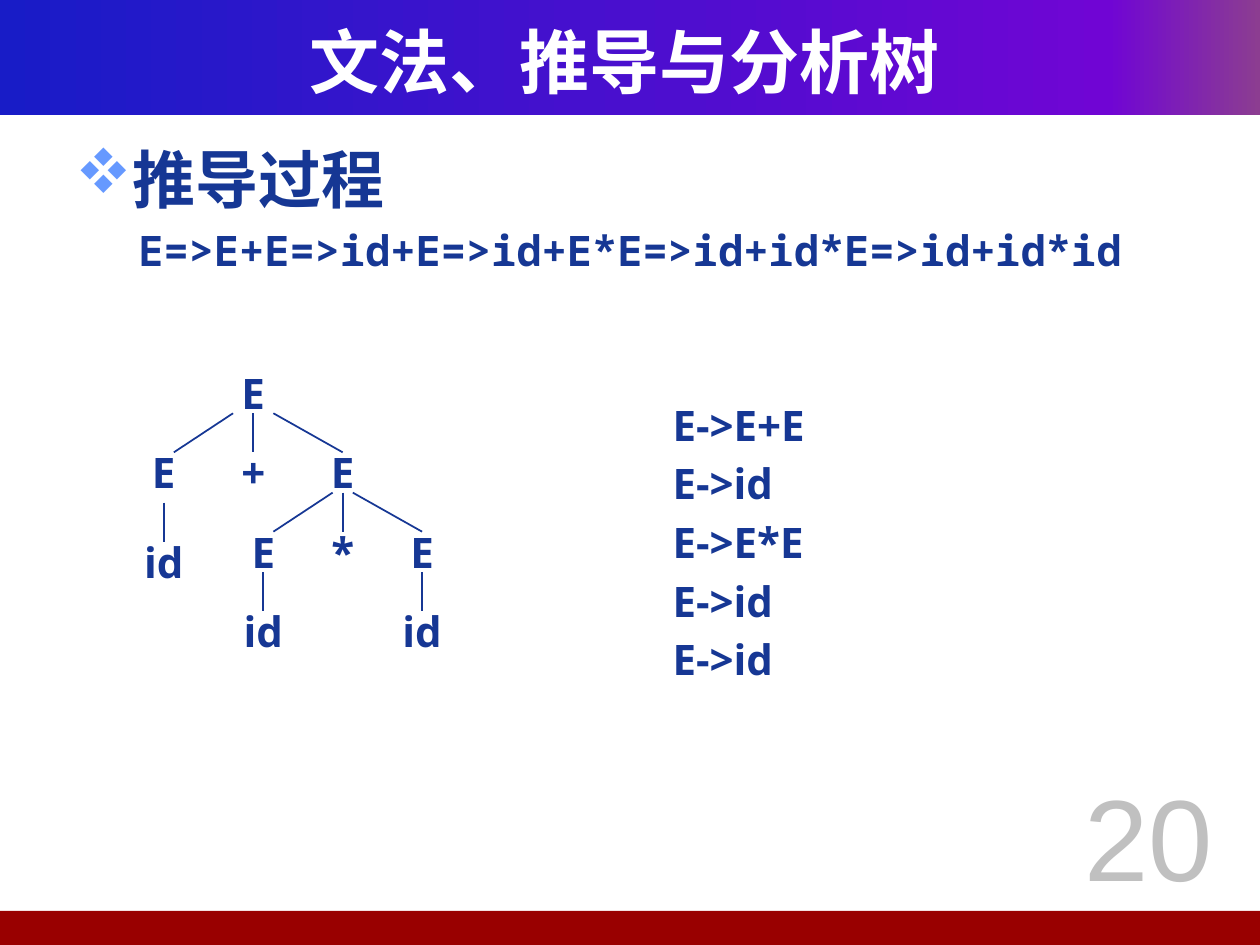
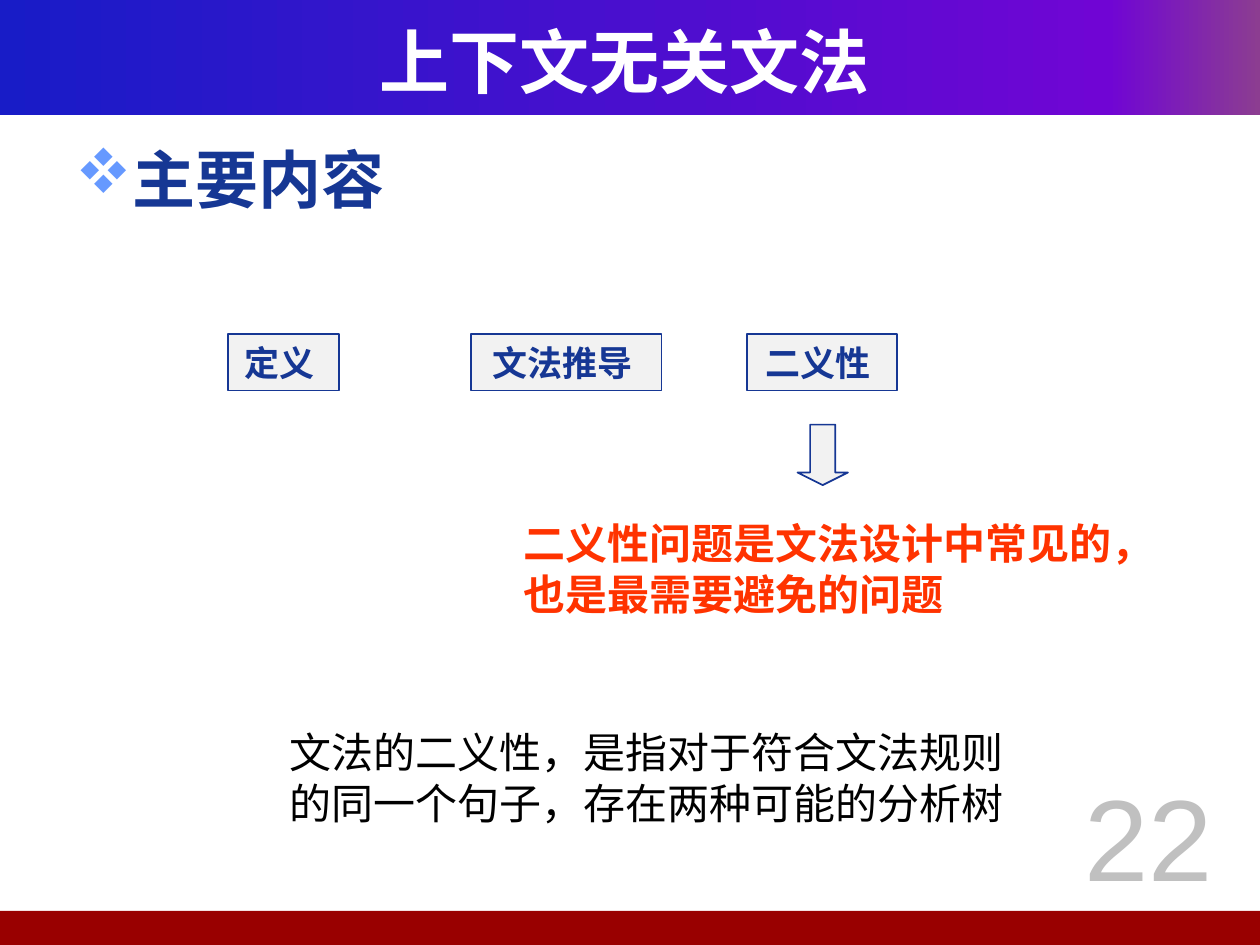
from copy import deepcopy

from lxml import etree
from pptx import Presentation
from pptx.dml import color
from pptx.enum import shapes, text
from pptx.oxml import ns
from pptx.util import Inches, Pt

# Shared look
NAVY, RED, WHITE, BLACK = "163794", "FF3300", "FFFFFF", "000000"
PALE, GREY, MAROON, BULLET = "F2F2F2", "C0C0C0", "990000", "6699FF"
BAND_STOPS = [(0, "181CC7"), (0.88, "7005D4"), (1, "8C3D91")]
MONO, SANS, CJK, ARIAL = "Noto Sans Mono", "Open Sans", "Noto Sans CJK SC", "Arial"

# Tree geometry
NODE_WIDTH, NODE_HEIGHT, EDGE_HEIGHT, LEFT_EDGE_SHIFT = 0.47, 0.31, 0.31, 0.08


def rgb(value):
    return color.RGBColor.from_string(value)


def add_xml(parent, tag, **attributes):
    return etree.SubElement(parent, ns.qn(tag), attributes)


def write(shape, content, size=24, font=SANS, ink=NAVY, bold=True,
          align="LEFT", anchor="TOP", wrap=True, side_margin=0.1):
    """Write one paragraph per line of content and return the paragraphs."""
    frame = shape.text_frame
    frame.word_wrap = wrap
    frame.margin_left = frame.margin_right = Inches(side_margin)
    frame.vertical_anchor = getattr(text.MSO_ANCHOR, anchor)
    paragraphs = []
    for index, line in enumerate(content.split("\n")):
        paragraph = frame.add_paragraph() if index else frame.paragraphs[0]
        paragraph.alignment = getattr(text.PP_ALIGN, align)
        run = paragraph.add_run()
        run.text = line
        run.font.size, run.font.bold, run.font.name = Pt(size), bold, font
        run.font.color.rgb = rgb(ink)
        add_xml(run.font._element, "a:ea", typeface=CJK)
        paragraphs.append(paragraph)
    return paragraphs


def add_text(slide, box, content, **style):
    shape = slide.shapes.add_textbox(*map(Inches, box))
    return write(shape, content, **style)


def add_block(slide, kind, box, fill, line=None):
    shape = slide.shapes.add_shape(kind, *map(Inches, box))
    shape.shadow.inherit = False
    shape.fill.solid()
    shape.fill.fore_color.rgb = rgb(fill)
    if line:
        shape.line.color.rgb = rgb(line)
        shape.line.width = Pt(1)
    else:
        shape.line.fill.background()
    return shape


def add_line(slide, start, end):
    line = slide.shapes.add_connector(
        shapes.MSO_CONNECTOR.STRAIGHT, *map(Inches, start + end))
    line.line.color.rgb = rgb(NAVY)
    line.line.width = Pt(1)
    add_xml(line._element.spPr, "a:effectLst")


def fill_gradient(shape, stops):
    shape.fill.gradient()
    shape.fill.gradient_angle = 0
    stop_list = shape._element.spPr.find(".//" + ns.qn("a:gsLst"))
    while len(stop_list) < len(stops):
        stop_list.append(deepcopy(stop_list[-1]))
    for stop, (position, value) in zip(shape.fill.gradient_stops, stops):
        stop.position = position
        stop.color.rgb = rgb(value)


def indent(paragraph, left, first, bullet=None):
    """Set indents, 20% space before and an optional symbol-font bullet."""
    properties = paragraph._p.get_or_add_pPr()
    properties.set("marL", str(Inches(left)))
    properties.set("indent", str(Inches(first)))
    space = add_xml(properties, "a:spcBef")
    add_xml(space, "a:spcPct", val="20000")
    if bullet:
        bullet_color = add_xml(properties, "a:buClr")
        add_xml(bullet_color, "a:srgbClr", val=BULLET)
        add_xml(properties, "a:buFont", typeface="Wingdings", charset="2")
        add_xml(properties, "a:buChar", char=bullet)


def add_base_slide(presentation, title, number, heading, detail=None):
    """Add a slide with bands, title, page number and body text."""
    slide = presentation.slides.add_slide(presentation.slide_layouts[6])
    rectangle = shapes.MSO_SHAPE.RECTANGLE
    band = add_block(slide, rectangle, (0, 0, 10, 0.91), NAVY)
    fill_gradient(band, BAND_STOPS)
    add_block(slide, rectangle, (-0.04, 7.23, 10.04, 0.27), MAROON)
    add_text(slide, (0.33, 0.17, 9.25, 0.62), title, size=40, font=MONO,
             ink=WHITE, align="CENTER", anchor="MIDDLE")
    lines = [heading, detail] if detail else [heading]
    body = add_text(slide, (0.5, 1.07, 9, 5.74), "\n".join(lines), font=MONO)
    body[0].runs[0].font.size = Pt(36)
    indent(body[0], 0.38, -0.38, bullet="v")  # v is the diamond in Wingdings
    for paragraph in body[1:]:
        indent(paragraph, 0.5, 0)
    add_text(slide, (8.23, 6.03, 1.77, 1.42), str(number), size=66,
             font=ARIAL, ink=GREY, bold=False, align="CENTER")
    return slide


def add_tree(slide, node):
    """Draw a node (label, centre, top, edge spread, children) and its subtree."""
    label, centre, top, spread, children = node
    add_text(slide, (centre - NODE_WIDTH / 2, top, NODE_WIDTH, NODE_HEIGHT),
             label, align="CENTER", anchor="MIDDLE", wrap=False, side_margin=0)
    for child in children:
        child_centre, child_top = child[1:3]
        side = (child_centre > centre) - (child_centre < centre)
        end = child_centre + (LEFT_EDGE_SHIFT if side < 0 else 0)
        add_line(slide, (centre + side * spread, child_top - EDGE_HEIGHT),
                 (end, child_top))
        add_tree(slide, child)


def leaf(label, centre, top):
    return label, centre, top, 0, []


def add_derivation_slide(presentation):
    slide = add_base_slide(presentation, "文法、推导与分析树", 20, "推导过程",
                           "E=>E+E=>id+E=>id+E*E=>id+id*E=>id+id*id")
    # Parse tree
    levels = [2.96 + 0.63 * level for level in range(4)]
    product = ("E", 2.72, levels[1], 0.08, [
        ("E", 2.09, levels[2], 0, [leaf("id", 2.09, levels[3])]),
        leaf("*", 2.72, levels[2]),
        ("E", 3.35, levels[2], 0, [leaf("id", 3.35, levels[3])]),
    ])
    add_tree(slide, ("E", 2.01, levels[0], 0.16, [
        ("E", 1.3, levels[1], 0, [leaf("id", 1.3, 4.3)]),
        leaf("+", 2.01, levels[1]),
        product,
    ]))
    # Productions in the order they are applied
    for row, right in enumerate(["E+E", "id", "E*E", "id", "id"]):
        add_text(slide, (5.24, 3.12 + 0.465 * row, 1.51, 0.5), "E->" + right)


def add_ambiguity_slide(presentation):
    slide = add_base_slide(presentation, "上下文无关文法", 22, "主要内容")
    # Topics
    for label, left, width in [("定义 ", 1.81, 0.88), ("文法推导 ", 3.74, 1.51),
                               ("二义性 ", 5.93, 1.19)]:
        topic = add_block(slide, shapes.MSO_SHAPE.RECTANGLE,
                          (left, 2.65, width, 0.45), PALE, NAVY)
        write(topic, label, size=20, font=CJK, align="CENTER", anchor="MIDDLE")
    arrow = add_block(slide, shapes.MSO_SHAPE.DOWN_ARROW,
                      (6.33, 3.37, 0.4, 0.48), PALE, NAVY)
    arrow.adjustments[0], arrow.adjustments[1] = 0.5, 0.25
    # Warning and definition
    add_text(slide, (4.06, 4.06, 5.28, 0.9),
             "二义性问题是文法设计中常见的，\n也是最需要避免的问题", ink=RED)
    add_text(slide, (2.2, 5.72, 6.1, 0.91),
             "文法的二义性，是指对于符合文法规则的同一个句子，存在两种可能的分析树",
             font=CJK, ink=BLACK, bold=False)


def main():
    presentation = Presentation()
    presentation.slide_width, presentation.slide_height = Inches(10), Inches(7.5)
    add_derivation_slide(presentation)
    add_ambiguity_slide(presentation)
    presentation.save("out.pptx")


main()
